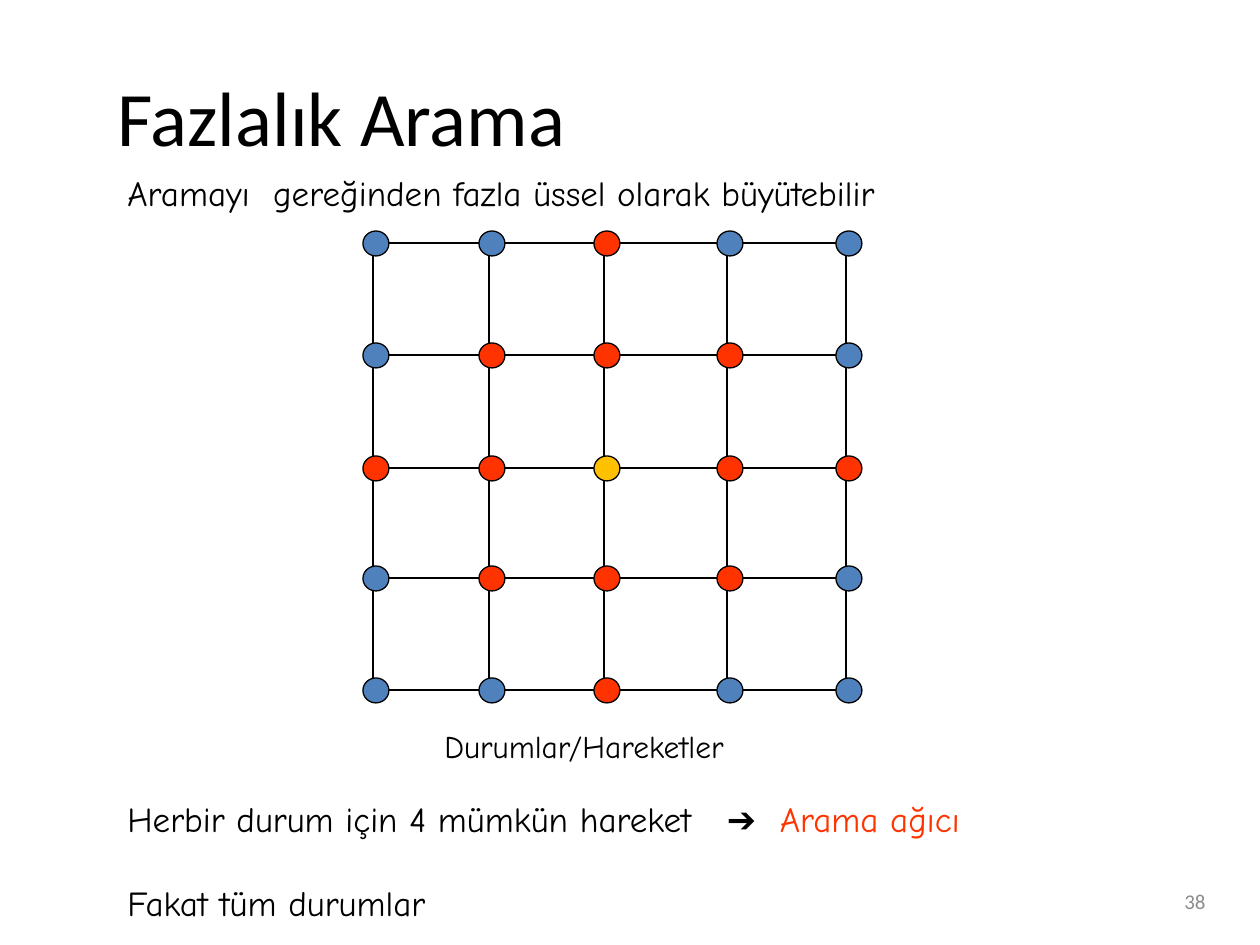
from itertools import pairwise, product

from lxml import etree
from pptx import Presentation
from pptx.dml.color import RGBColor
from pptx.enum.shapes import MSO_CONNECTOR, MSO_SHAPE
from pptx.enum.text import MSO_ANCHOR, PP_ALIGN
from pptx.oxml.ns import qn
from pptx.util import Pt

PIXEL = 914400 // 126
STRAIGHT, ELLIPSE = MSO_CONNECTOR.STRAIGHT, MSO_SHAPE.OVAL
TOP, MIDDLE = MSO_ANCHOR.TOP, MSO_ANCHOR.MIDDLE
LEFT, RIGHT = PP_ALIGN.LEFT, PP_ALIGN.RIGHT

BLACK = RGBColor(0x00, 0x00, 0x00)
GREY = RGBColor(0x8C, 0x8C, 0x8C)
BLUE = RGBColor(0x4F, 0x81, 0xBD)
RED = RGBColor(0xFF, 0x33, 0x00)
GOLD = RGBColor(0xFF, 0xC0, 0x00)
BODY_FONT, HEAD_FONT = "Comic Neue", "Calibri"

# Grid line positions, relative to the grid's box
COLUMNS = (0, 116, 231, 354, 473)
ROWS = (0, 112, 225, 335, 447)
NODE_WIDTH, NODE_HEIGHT = 26, 25


def px(*lengths):
    return [length * PIXEL for length in lengths]


def add_text(page, box, paragraphs, size, font=BODY_FONT, color=BLACK,
             anchor=TOP, align=LEFT, wrap=True, gap=0):
    """Each paragraph is a list of (text, colour or None) spans."""
    frame = page.shapes.add_textbox(*px(*box)).text_frame
    frame.word_wrap = wrap
    frame.vertical_anchor = anchor
    for index, spans in enumerate(paragraphs):
        para = frame.add_paragraph() if index else frame.paragraphs[0]
        para.alignment = align
        para.space_before = Pt(gap if index else 0)
        para.font.name, para.font.size = font, Pt(size)
        para.font.color.rgb = color
        for text, span_color in spans:
            span = para.add_run()
            span.text = text
            span.font.name, span.font.size = font, Pt(size)
            span.font.color.rgb = span_color or color


def add_edge(page, start, end):
    edge = page.shapes.add_connector(STRAIGHT, *px(*start, *end))
    edge.line.color.rgb = BLACK
    edge.line.width = Pt(0.75)
    etree.SubElement(edge._element.spPr, qn("a:effectLst"))


def add_node(page, left, top, color):
    node = page.shapes.add_shape(ELLIPSE, *px(left, top, NODE_WIDTH, NODE_HEIGHT))
    node.shadow.inherit = False
    node.fill.solid()
    node.fill.fore_color.rgb = color
    node.line.color.rgb = BLACK
    node.line.width = Pt(0.75)


def node_color(column, row):
    """Colour by number of moves from the central state."""
    moves = abs(column - 2) + abs(row - 2)
    return GOLD if moves == 0 else RED if moves <= 2 else BLUE


def add_state_grid(page, left, top):
    columns = [left + x for x in COLUMNS]
    rows = [top + y for y in ROWS]
    # Moves between neighbouring states
    for y, (start, end) in product(rows, pairwise(columns)):
        add_edge(page, (start, y), (end, y))
    for x, (start, end) in product(columns, pairwise(rows)):
        add_edge(page, (x, start), (x, end))
    # States
    for (column, x), (row, y) in product(enumerate(columns), enumerate(rows)):
        add_node(page, x - 10, y - 12, node_color(column, row))


deck = Presentation()
deck.slide_width, deck.slide_height = px(1260, 945)
page = deck.slides.add_slide(deck.slide_layouts[6])

# Title and lead sentence
add_text(page, (105, 37, 1113, 157), [[("Fazlalık Arama", None)]], 44,
         font=HEAD_FONT, anchor=MIDDLE)
add_text(page, (115, 165, 1082, 129),
         [[("Aramayı  gereğinden fazla üssel olarak büyütebilir", None)]], 20,
         wrap=False)

# State grid and its caption
add_state_grid(page, 373, 243)
add_text(page, (432, 721, 339, 50), [[("Durumlar/Hareketler", None)]], 18,
         wrap=False)

# Conclusions
add_text(page, (115, 791, 1091, 139),
         [[("Herbir durum için 4 mümkün hareket   ➔  ", None), ("Arama ağıcı", RED)],
          [("Fakat tüm durumlar", None)]], 20, gap=24)

# Page number
add_text(page, (924, 876, 294, 50), [[("38", None)]], 12, font=HEAD_FONT,
         color=GREY, anchor=MIDDLE, align=RIGHT)

deck.save("out.pptx")
